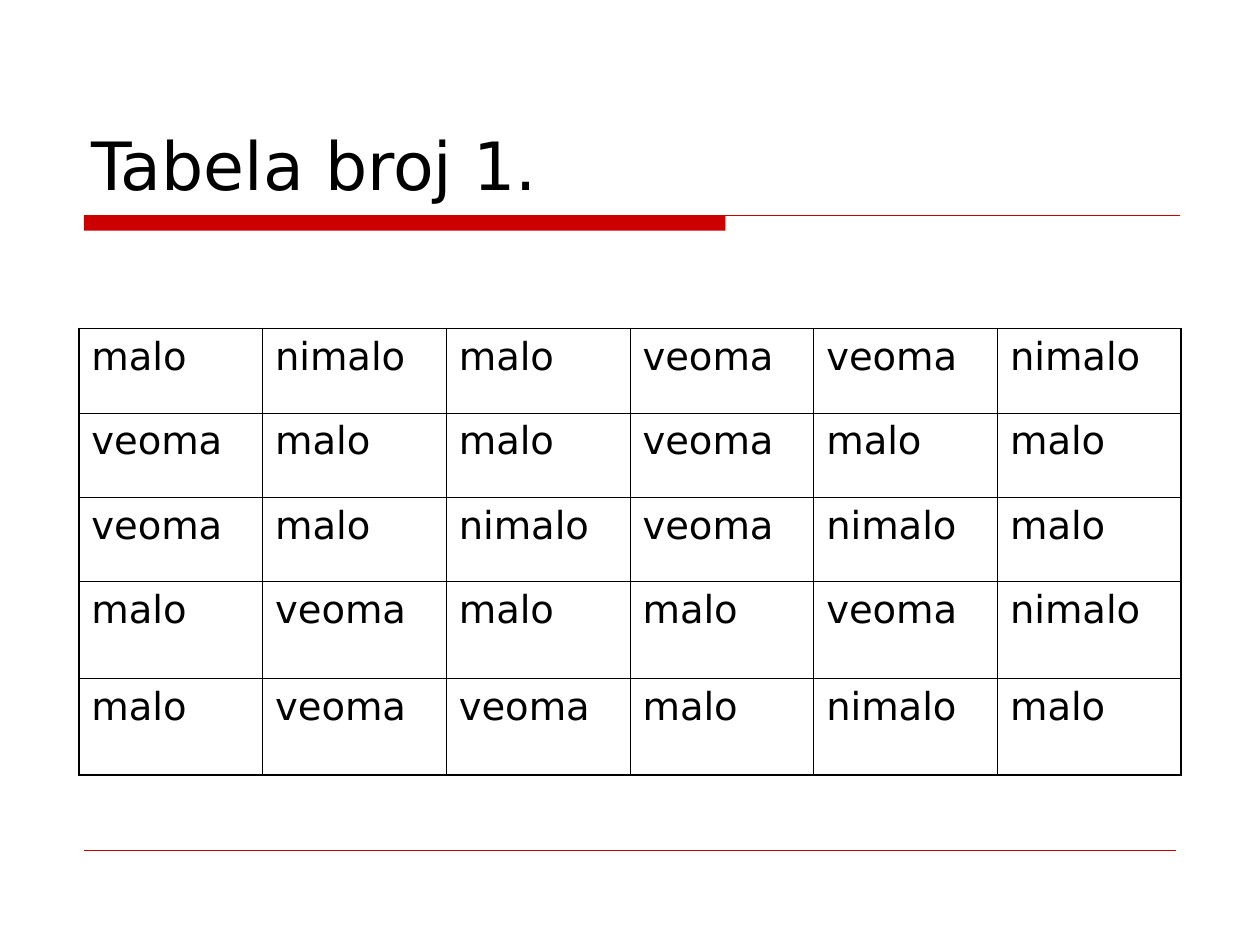
from lxml import etree
from pptx import Presentation
from pptx.dml.color import RGBColor
from pptx.enum.shapes import MSO_CONNECTOR, MSO_SHAPE
from pptx.enum.text import MSO_ANCHOR, MSO_AUTO_SIZE, PP_ALIGN
from pptx.oxml.ns import qn
from pptx.util import Pt

STRAIGHT = MSO_CONNECTOR.STRAIGHT
RECTANGLE = MSO_SHAPE.RECTANGLE
BOTTOM = MSO_ANCHOR.BOTTOM
NO_AUTOFIT = MSO_AUTO_SIZE.NONE
LEFT = PP_ALIGN.LEFT

BLACK = RGBColor(0x00, 0x00, 0x00)
RED = RGBColor(0xCC, 0x00, 0x00)
FONT = "DejaVu Sans"
OUTER_BORDER, INNER_BORDER = 1.08, 0.45
ROW_HEIGHTS = [48.24, 48.24, 48.24, 55.2, 55.2]
ANSWERS = [
    ["malo", "nimalo", "malo", "veoma", "veoma", "nimalo"],
    ["veoma", "malo", "malo", "veoma", "malo", "malo"],
    ["veoma", "malo", "nimalo", "veoma", "nimalo", "malo"],
    ["malo", "veoma", "malo", "malo", "veoma", "nimalo"],
    ["malo", "veoma", "veoma", "malo", "nimalo", "malo"],
]


def format_text(paragraph, size):
    paragraph.alignment = LEFT
    for run in paragraph.runs:
        run.font.name = FONT
        run.font.size = Pt(size)
        run.font.color.rgb = BLACK


def add_rule(slide, left, top, width, weight):
    rule = slide.shapes.add_connector(
        STRAIGHT, Pt(left), Pt(top), Pt(left + width), Pt(top))
    rule.line.color.rgb = RED
    rule.line.width = Pt(weight)
    etree.SubElement(rule._element.spPr, qn("a:effectLst"))


def add_title_rule(slide, left, top, width, height):
    bar = slide.shapes.add_shape(
        RECTANGLE, Pt(left), Pt(top), Pt(width * 0.585), Pt(height))
    bar.shadow.inherit = False
    bar.fill.solid()
    bar.fill.fore_color.rgb = RED
    bar.line.fill.background()
    add_rule(slide, left, top, width, 0.75)


def place_title(slide, left, top, width, height):
    title = slide.shapes.title
    title.left, title.top = Pt(left), Pt(top)
    title.width, title.height = Pt(width), Pt(height)
    frame = title.text_frame
    frame.text = "Tabela broj 1."
    frame.auto_size = NO_AUTOFIT
    frame.vertical_anchor = BOTTOM
    format_text(frame.paragraphs[0], 38)


def set_borders(cell, weights):
    properties = cell._tc.get_or_add_tcPr()
    for position, (side, weight) in enumerate(weights.items()):
        border = etree.Element(qn(f"a:ln{side}"), w=str(int(Pt(weight))))
        fill = etree.SubElement(border, qn("a:solidFill"))
        etree.SubElement(fill, qn("a:srgbClr"), val=str(BLACK))
        properties.insert(position, border)


def add_answer_table(slide, left, top, width):
    row_count, column_count = len(ANSWERS), len(ANSWERS[0])
    table = slide.shapes.add_table(
        row_count, column_count, Pt(left), Pt(top), Pt(width),
        Pt(sum(ROW_HEIGHTS))).table
    table.first_row = False
    table.horz_banding = False
    for column in table.columns:
        column.width = Pt(width / column_count)
    for r, (answers, height) in enumerate(zip(ANSWERS, ROW_HEIGHTS)):
        table.rows[r].height = Pt(height)
        for c, answer in enumerate(answers):
            cell = table.cell(r, c)
            cell.fill.background()
            cell.text_frame.text = answer
            paragraph = cell.text_frame.paragraphs[0]
            paragraph.space_before = Pt(5.5)
            format_text(paragraph, 22)
            edges = {"L": c == 0, "R": c == column_count - 1,
                     "T": r == 0, "B": r == row_count - 1}
            set_borders(cell, {
                side: OUTER_BORDER if outer else INNER_BORDER
                for side, outer in edges.items()})


def main():
    presentation = Presentation()
    presentation.slide_width, presentation.slide_height = Pt(720), Pt(540)
    slide = presentation.slides.add_slide(presentation.slide_layouts[5])
    add_title_rule(slide, 48, 123.12, 626.5, 8.64)
    add_rule(slide, 48, 486, 624, 0.25)
    place_title(slide, 45, 24, 630, 96)
    add_answer_table(slide, 45, 187.75, 630)
    presentation.save("out.pptx")


if __name__ == "__main__":
    main()
